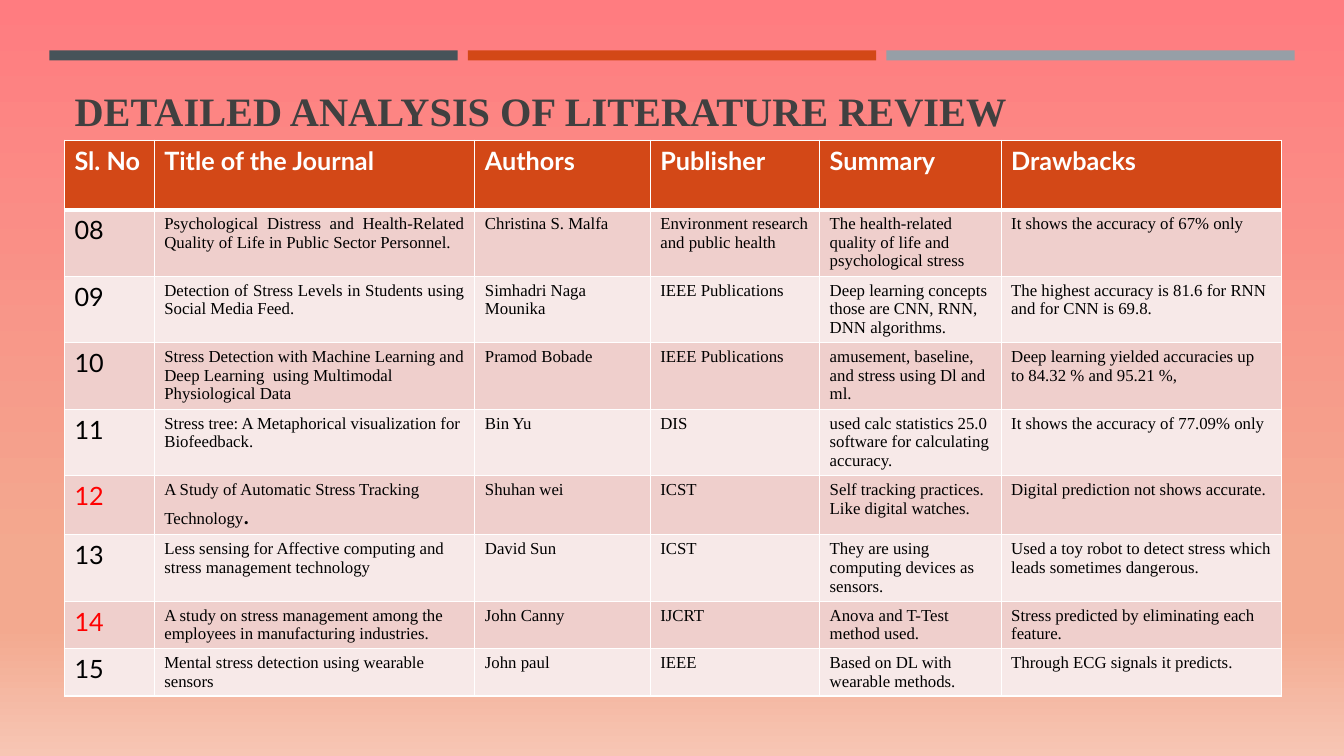
"""Builds the literature review slide with its table of journals."""
import pptx
import pptx.dml.color
import pptx.enum.text
import pptx.oxml
import pptx.oxml.ns
import pptx.util
from pptx.util import Inches

SERIF, SANS = "Times New Roman", "Lato"
WHITE, BLACK, RED, ORANGE = "FFFFFF", "000000", "FF0000", "D34817"
BANDS = ["EFCFCC", "F7E9E8"]
STOPS = [(0, "FF7C80"), (74, "F3A98F"), (83, "F3A98F"), (100, "F7C6B4")]
BARS = ["465359", ORANGE, "969FA7"]
WIDTHS = [0.89, 3.18, 1.74, 1.68, 1.8, 2.78]
HEIGHTS = [0.69, 0.66, 0.66, 0.66, 0.66, 0.58, 0.66, 0.47, 0.47]
HEADS = ["Sl. No", "Title of the Journal", "Authors", "Publisher", "Summary", "Drawbacks"]
ROWS = [
    ["08", "Psychological Distress and Health-Related Quality of Life in Public Sector Personnel.",
     "Christina S. Malfa", "Environment research and public health",
     "The health-related quality of life and psychological stress",
     "It shows the accuracy of 67% only"],
    ["09", "Detection of Stress Levels in Students using Social Media Feed.",
     "Simhadri Naga Mounika", "IEEE Publications",
     "Deep learning concepts those are CNN, RNN, DNN algorithms.",
     "The highest accuracy is 81.6 for RNN and for CNN is 69.8."],
    ["10", "Stress Detection with Machine Learning and Deep Learning  using Multimodal Physiological Data",
     "Pramod Bobade", "IEEE Publications",
     "amusement, baseline, and stress using Dl and ml.",
     "Deep learning yielded accuracies up to 84.32 % and 95.21 %,"],
    ["11", "Stress tree: A Metaphorical visualization for Biofeedback.",
     "Bin Yu", "DIS", "used calc statistics 25.0 software for calculating accuracy.",
     "It shows the accuracy of 77.09% only"],
    ["12", "A Study of Automatic Stress Tracking Technology",
     "Shuhan wei", "ICST", "Self tracking practices.\nLike digital watches.",
     "Digital prediction not shows accurate."],
    ["13", "Less sensing for Affective computing and stress management technology",
     "David Sun", "ICST", "They are using computing devices as sensors.",
     "Used a toy robot to detect stress which leads sometimes dangerous."],
    ["14", "A study on stress management among the employees in manufacturing industries.",
     "John Canny", "IJCRT", "Anova and T-Test method used.",
     "Stress predicted by eliminating each feature."],
    ["15", "Mental stress detection using wearable sensors",
     "John paul", "IEEE", "Based on DL with wearable methods.",
     "Through ECG signals it predicts."],
]


def paint(color, shade):
    color.rgb = pptx.dml.color.RGBColor.from_string(shade)


def write(frame, text, size=12, font=SERIF, color=BLACK, bold=False, align="LEFT", join=False):
    for i, line in enumerate(text.split("\n")):
        para = frame.add_paragraph() if i else frame.paragraphs[-1 if join else 0]
        para.alignment = getattr(pptx.enum.text.PP_ALIGN, align)
        run = para.add_run()
        run.text = line
        run.font.size = pptx.util.Pt(size)
        run.font.name = font
        run.font.bold = bold
        paint(run.font.color, color)


class Page:
    def __init__(self, deck):
        self.slide = deck.slides.add_slide(deck.slide_layouts[5])

    def back(self, stops):
        fill = self.slide.background.fill
        fill.gradient()
        fill.gradient_angle = 270
        group = next(self.slide.element.iter(pptx.oxml.ns.qn("a:gsLst")))
        for stop in list(group):
            group.remove(stop)
        for place, shade in stops:
            group.append(pptx.oxml.parse_xml(
                f'<a:gs {pptx.oxml.ns.nsdecls("a")} pos="{place * 1000}">'
                f'<a:srgbClr val="{shade}"/></a:gs>'))

    def bar(self, left, top, width, height, shade):
        shape = self.slide.shapes.add_shape(
            pptx.enum.shapes.MSO_SHAPE.RECTANGLE,
            Inches(left), Inches(top), Inches(width), Inches(height))
        shape.shadow.inherit = False
        shape.fill.solid()
        paint(shape.fill.fore_color, shade)
        shape.line.fill.background()

    def title(self, text, left, top, width, height):
        shape = self.slide.shapes.title
        shape.left, shape.top = Inches(left), Inches(top)
        shape.width, shape.height = Inches(width), Inches(height)
        frame = shape.text_frame
        frame.word_wrap = True
        frame.auto_size = pptx.enum.text.MSO_AUTO_SIZE.NONE
        frame.vertical_anchor = pptx.enum.text.MSO_ANCHOR.BOTTOM
        write(frame, text, size=28.8, color="404040", bold=True)

    def table(self, left, top, widths, heights):
        table = self.slide.shapes.add_table(
            len(heights), len(widths), Inches(left), Inches(top),
            Inches(sum(widths)), Inches(sum(heights))).table
        table.horz_banding = False
        for col, width in zip(table.columns, widths):
            col.width = Inches(width)
        for row, height in zip(table.rows, heights):
            row.height = Inches(height)
        return table

    def cell(self, cell, text, fill, top=1, base=1, **style):
        cell.fill.solid()
        paint(cell.fill.fore_color, fill)
        props = cell._tc.get_or_add_tcPr()
        for i, (side, width) in enumerate(zip("LRTB", (1, 1, top, base))):
            props.insert(i, pptx.oxml.parse_xml(
                f'<a:ln{side} {pptx.oxml.ns.nsdecls("a")} w="{width * 12700}">'
                f'<a:solidFill><a:srgbClr val="{WHITE}"/></a:solidFill></a:ln{side}>'))
        write(cell.text_frame, text, **style)


def main():
    deck = pptx.Presentation()
    deck.slide_width, deck.slide_height = Inches(13.33), Inches(7.5)
    page = Page(deck)
    page.back(STOPS)
    for i, shade in enumerate(BARS):
        page.bar(0.49 + 4.15 * i, 0.5, 4.05, 0.1, shade)
    page.title("DETAILED ANALYSIS OF LITERATURE REVIEW", 0.64, 0.77, 12.06, 0.62)
    table = page.table(0.64, 1.39, WIDTHS, HEIGHTS)
    for c, head in enumerate(HEADS):
        page.cell(table.cell(0, c), head, ORANGE, base=3,
                  size=18, font=SANS, color=WHITE, bold=True)
    for r, row in enumerate(ROWS, 1):
        for c, text in enumerate(row):
            style = {}
            if c == 0:
                style = dict(size=18, font=SANS, color=RED if text in ("12", "14") else BLACK)
            elif c == 1 and r <= 2:
                style = dict(align="JUSTIFY")
            page.cell(table.cell(r, c), text, BANDS[(r - 1) % 2],
                      top=3 if r == 1 else 1, **style)
    write(table.cell(5, 1).text_frame, ".", size=18, font=SANS, join=True)
    deck.save("out.pptx")


if __name__ == "__main__":
    main()
